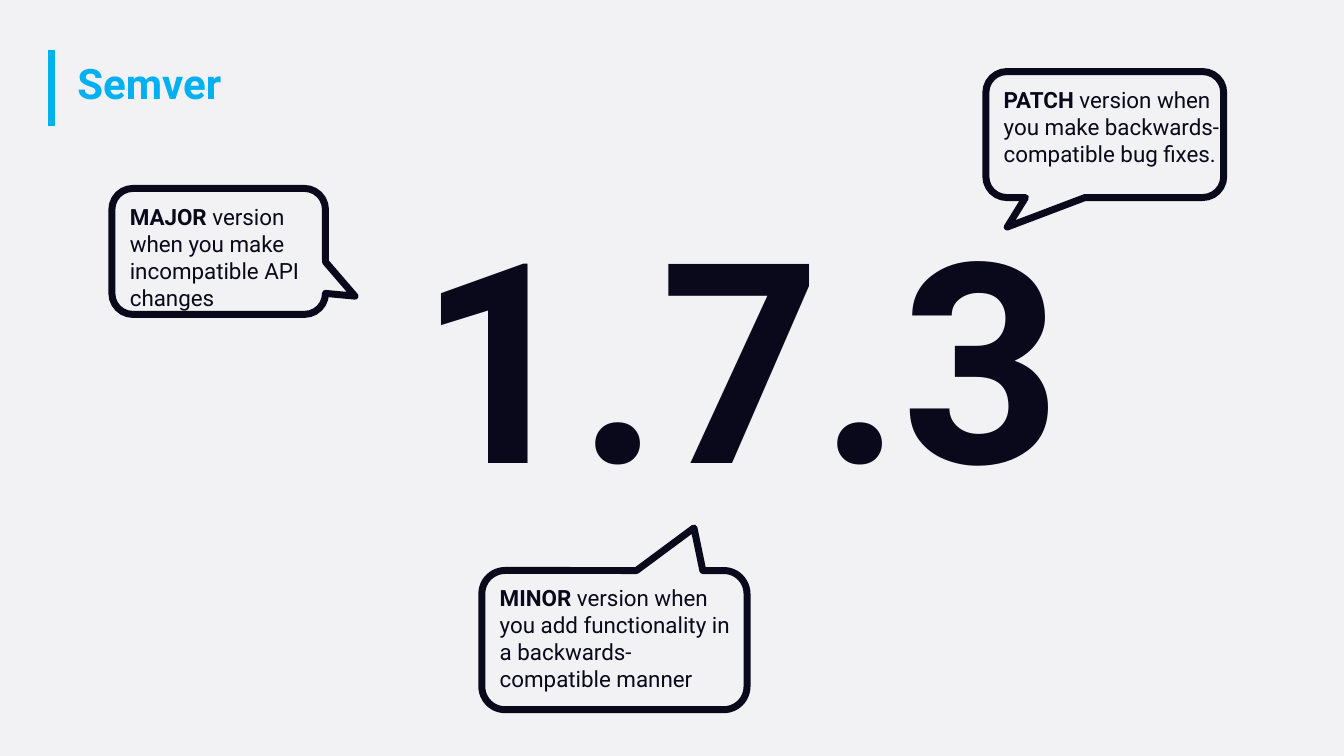
from lxml import etree
from pptx import Presentation
from pptx.dml.color import RGBColor
from pptx.enum.shapes import MSO_CONNECTOR, MSO_SHAPE
from pptx.oxml.ns import qn
from pptx.util import Pt

STRAIGHT = MSO_CONNECTOR.STRAIGHT
CALLOUT = MSO_SHAPE.ROUNDED_RECTANGULAR_CALLOUT
FONT = "Roboto"
COLORS = {"background": "F2F2F5", "accent": "00B0F0", "ink": "0A091B"}
LINE_WIDTH = 5
CORNER = 0.167

TITLE = "Semver"
VERSION = "1.7.3"
# Bubble and text frames: left, top, width, height; tip: offset from the bubble centre
CALLOUTS = [
    {"part": "MAJOR ", "rule": "version when you make incompatible API changes",
     "bubble": (79.9, 134.6, 152.6, 90), "tip": (0.638, 0.355),
     "text": (85.7, 141.8, 141.1, 85)},
    {"part": "MINOR ",
     "rule": "version when you add functionality in a backwards-compatible manner",
     "bubble": (344.2, 407.5, 189.4, 99.4), "tip": (0.3, -0.806),
     "text": (349.9, 414, 184.3, 85)},
    {"part": "PATCH ", "rule": "version when you make backwards-compatible bug fixes.",
     "bubble": (704.2, 51.1, 169.9, 90), "tip": (-0.41, 0.734),
     "text": (709.9, 58.3, 169.9, 65.5)},
]


def color(name):
    return RGBColor.from_string(COLORS[name])


def add_text(page, frame, spans, size, color_name):
    """Add a one-paragraph text box; spans are (text, bold) pairs."""
    box = page.shapes.add_textbox(*map(Pt, frame))
    box.text_frame.word_wrap = True
    para = box.text_frame.paragraphs[0]
    for text, bold in spans:
        span = para.add_run()
        span.text = text
        span.font.name = FONT
        span.font.size = Pt(size)
        span.font.bold = bold
        span.font.color.rgb = color(color_name)
    return para


def add_bubble(page, frame, tip):
    bubble = page.shapes.add_shape(CALLOUT, *map(Pt, frame))
    bubble.shadow.inherit = False
    bubble.fill.background()
    bubble.line.color.rgb = color("ink")
    bubble.line.width = Pt(LINE_WIDTH)
    for index, value in enumerate((*tip, CORNER)):
        bubble.adjustments[index] = value


def add_title_bar(page):
    bar = page.shapes.add_connector(STRAIGHT, Pt(36.7), Pt(36), Pt(36.7), Pt(90))
    bar.line.color.rgb = color("accent")
    bar.line.width = Pt(LINE_WIDTH)
    etree.SubElement(bar._element.spPr, qn("a:effectLst"))


def main():
    deck = Presentation()
    deck.slide_width, deck.slide_height = Pt(960), Pt(540)
    page = deck.slides.add_slide(deck.slide_layouts[6])
    page.background.fill.solid()
    page.background.fill.fore_color.rgb = color("background")

    add_title_bar(page)
    title = add_text(page, (48.2, 41.8, 529.2, 40.3), [(TITLE, True)], 30, "accent")
    title.line_spacing = 0.9
    add_text(page, (291.6, 127.4, 628.6, 249.8), [(VERSION, True)], 200, "ink")

    for callout in CALLOUTS:
        add_bubble(page, callout["bubble"], callout["tip"])
        spans = [(callout["part"], True), (callout["rule"], False)]
        add_text(page, callout["text"], spans, 16, "ink")

    deck.save("out.pptx")


if __name__ == "__main__":
    main()
